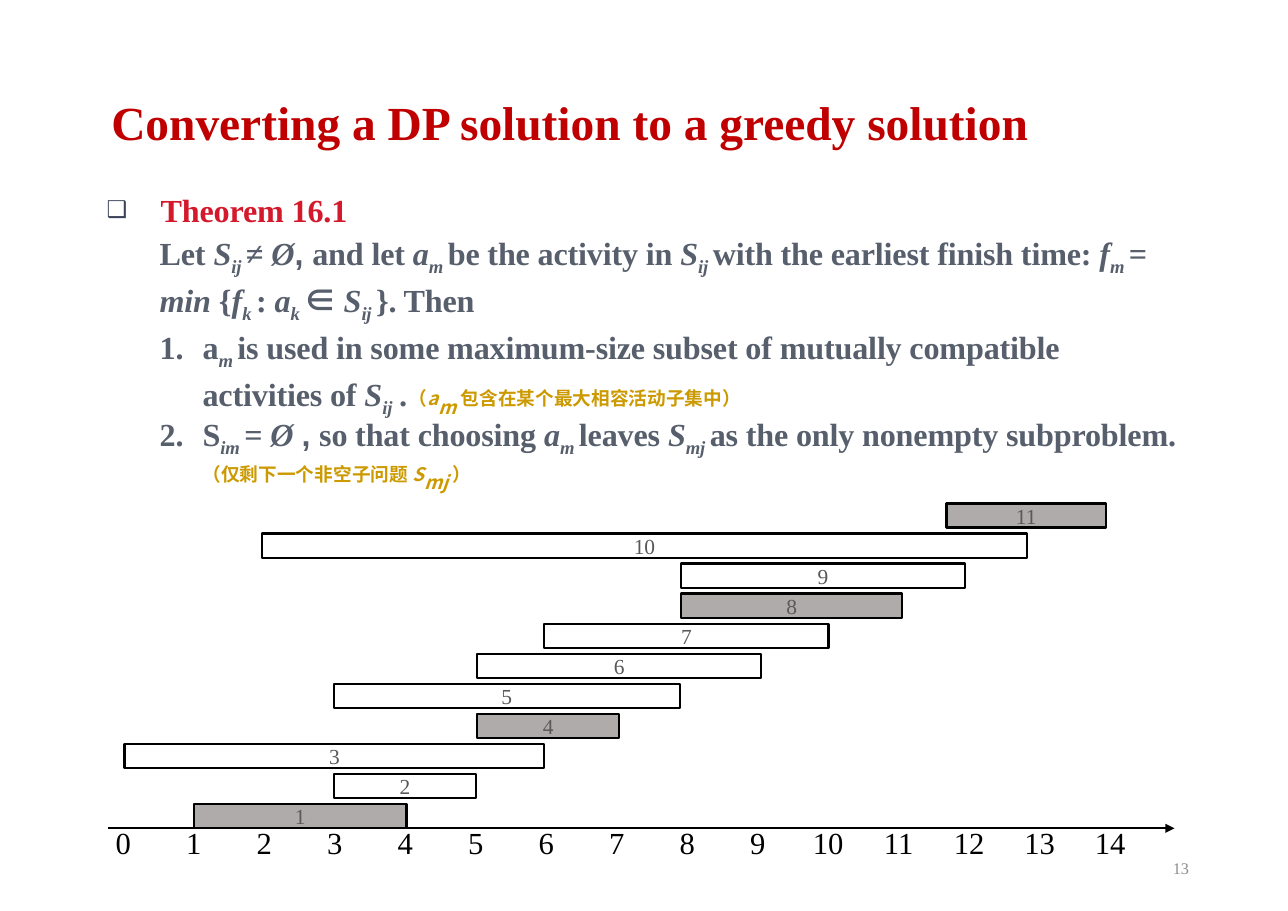
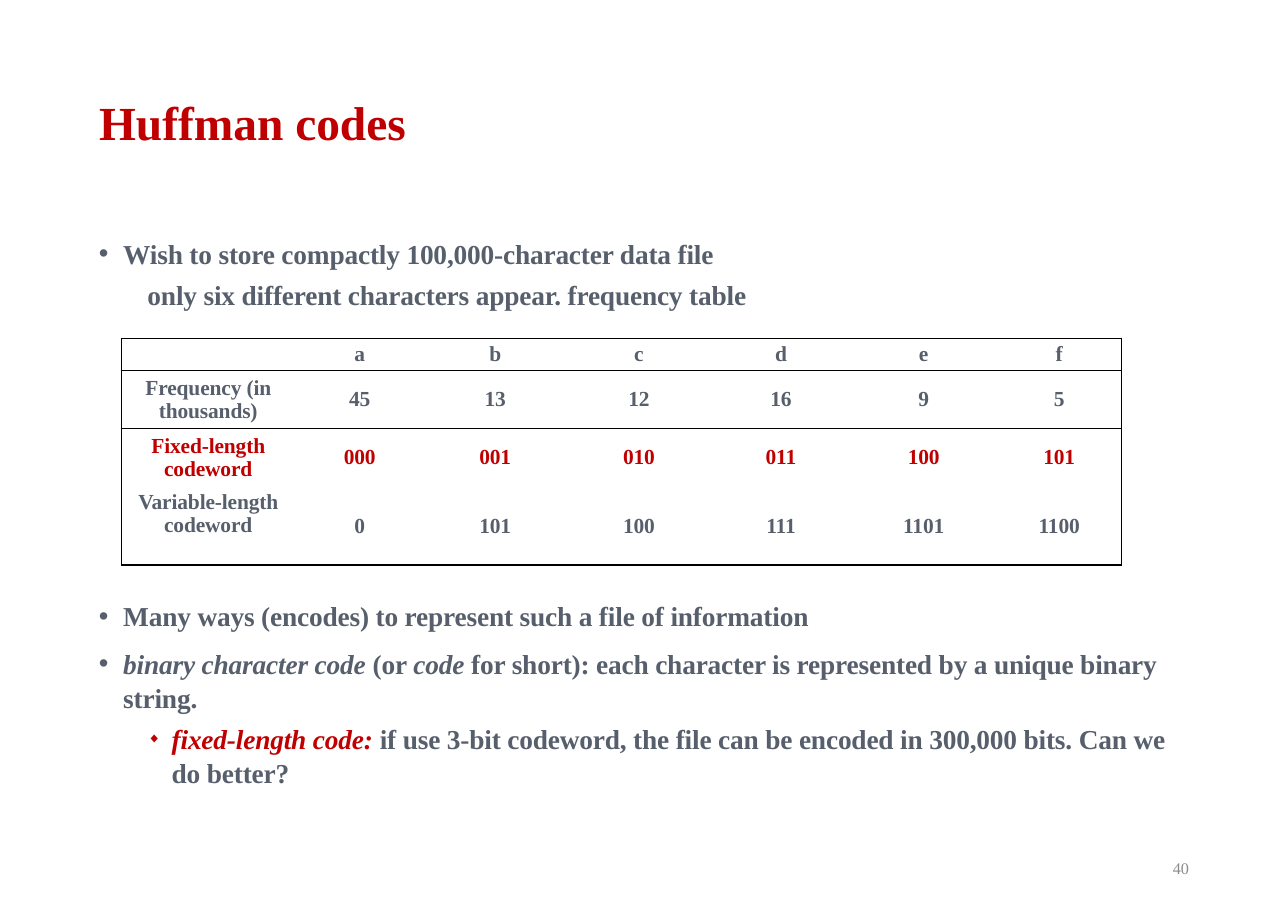
"""Build two lecture slides on greedy algorithms."""
from dataclasses import dataclass, replace

from lxml import etree
from pptx import Presentation
from pptx import util as u
from pptx.dml.color import RGBColor
from pptx.enum import shapes as es, text as et
from pptx.oxml import ns

BLACK = RGBColor(0x00, 0x00, 0x00)
RED = RGBColor(0xC0, 0x00, 0x00)
CRIMSON = RGBColor(0xD3, 0x19, 0x2B)
SLATE = RGBColor(0x57, 0x5F, 0x6D)
NAVY = RGBColor(0x3B, 0x43, 0x5B)
GOLD = RGBColor(0xCC, 0x9A, 0x00)
DARK_GRAY = RGBColor(0x59, 0x59, 0x59)
PAGE_GRAY = RGBColor(0x8C, 0x8C, 0x8C)
BAR_GRAY = RGBColor(0xAF, 0xAB, 0xAB)
SERIF, SANS, CJK = "Times New Roman", "Arial", "Noto Sans CJK JP"
NO_TABLE_STYLE = "{2D5ABB26-0587-4C30-8999-92F81FD0307C}"


@dataclass(frozen=True)
class Style:
    """Look of one run; spacing and baseline are in hundredths of a point and thousandths of a percent."""
    size: float
    color: RGBColor = SLATE
    font: str = SERIF
    bold: bool = True
    italic: bool = False
    spacing: int = -10
    baseline: int = 0


@dataclass(frozen=True)
class Item:
    """One body paragraph with its indents, spacing and bullet."""
    runs: list
    left: float = 0
    hanging: float = 0
    before: float = 0
    line: object = 1.0
    level: int = 0
    bullet: str = ""
    bullet_color: RGBColor = SLATE
    bullet_percent: int = 100


TITLE = Style(31, RED, spacing=0)
PAGE = Style(10.6, PAGE_GRAY, bold=False, spacing=0)
BAR = Style(14, DARK_GRAY, bold=False, spacing=0)
AXIS = Style(20, BLACK, bold=False, spacing=0)
THEOREM = Style(21)
CHINESE = replace(THEOREM, font=CJK, color=GOLD, spacing=10, baseline=2000)
BULLET = Style(17.9)
CELL = Style(14)

BARS = [(1.76, 1.93), (3.03, 1.29), (1.13, 3.81), (4.33, 1.29), (3.03, 3.14), (4.33, 2.58),
        (4.94, 2.58), (6.18, 2.01), (6.18, 2.58), (2.38, 6.94), (8.59, 1.45)]
CHOSEN = {1, 4, 8, 11}
CODE_ROWS = [
    ["", "a", "b", "c", "d", "e", "f"],
    ["Frequency (in thousands)", "45", "13", "12", "16", "9", "5"],
    ["Fixed-length codeword", "000", "001", "010", "011", "100", "101"],
    ["Variable-length codeword", "0", "101", "100", "111", "1101", "1100"],
]


def italic(style):
    """Return the italic form of a style."""
    return replace(style, italic=True)


def variable(letter, index, style=THEOREM):
    """Return the runs of an italic variable with a subscript."""
    slanted = italic(style)
    return [(letter, slanted), (index, replace(slanted, baseline=-25000))]


def add_child(parent, tag, **attributes):
    """Append a DrawingML element to a parent."""
    child = etree.SubElement(parent, ns.qn(tag))
    for name, value in attributes.items():
        child.set(name, str(value))
    return child


def write_runs(paragraph, runs):
    """Add styled runs to a paragraph."""
    for words, style in runs:
        run = paragraph.add_run()
        run.text = words
        font = run.font
        font.size, font.name = u.Pt(style.size), style.font
        font.bold, font.italic = style.bold, style.italic
        font.color.rgb = style.color
        properties = run._r.get_or_add_rPr()
        add_child(properties, "a:ea", typeface=style.font)
        if style.spacing:
            properties.set("spc", str(style.spacing))
        if style.baseline:
            properties.set("baseline", str(style.baseline))


def write_item(paragraph, item):
    """Format a body paragraph and fill it."""
    paragraph.level = item.level
    paragraph.line_spacing = item.line
    paragraph.space_before = u.Pt(item.before)
    properties = paragraph._p.get_or_add_pPr()
    properties.set("marL", str(u.Inches(item.left)))
    properties.set("indent", str(u.Inches(-item.hanging)))
    if item.bullet:
        color = add_child(properties, "a:buClr")
        add_child(color, "a:srgbClr", val=item.bullet_color)
        add_child(properties, "a:buSzPct", val=item.bullet_percent * 1000)
        if item.bullet == "1.":
            add_child(properties, "a:buAutoNum", type="arabicPeriod")
        else:
            add_child(properties, "a:buFont", typeface=SANS)
            add_child(properties, "a:buChar", char=item.bullet)
    write_runs(paragraph, item.runs)


def add_text_box(slide, left, top, width, height):
    """Add a wrapping text box and return its text frame."""
    box = slide.shapes.add_textbox(*map(u.Inches, (left, top, width, height)))
    box.text_frame.word_wrap = True
    return box.text_frame


def add_body(slide, top, height, items):
    """Add a body text box of several paragraphs."""
    frame = add_text_box(slide, 0.8, top, 10.02, height)
    for number, item in enumerate(items):
        write_item(frame.add_paragraph() if number else frame.paragraphs[0], item)


def add_slide(presentation, title, page, indent=0.1):
    """Add a slide with its title and page number."""
    slide = presentation.slides.add_slide(presentation.slide_layouts[5])
    holder = slide.shapes.title
    holder.left, holder.top = u.Inches(0.8), u.Inches(0.49)
    holder.width, holder.height = u.Inches(10.02), u.Inches(1.3)
    frame = holder.text_frame
    frame.auto_size = et.MSO_AUTO_SIZE.NONE
    frame.vertical_anchor = et.MSO_ANCHOR.MIDDLE
    frame.margin_left = u.Inches(indent)
    paragraph = frame.paragraphs[0]
    paragraph.alignment, paragraph.line_spacing = et.PP_ALIGN.LEFT, 0.9
    write_runs(paragraph, [(title, TITLE)])
    footer = add_text_box(slide, 8.26, 7.66, 2.63, 0.44)
    footer.vertical_anchor = et.MSO_ANCHOR.MIDDLE
    footer.paragraphs[0].alignment = et.PP_ALIGN.RIGHT
    write_runs(footer.paragraphs[0], [(page, PAGE)])
    return slide


def add_table(slide, left, top, widths, heights):
    """Add a plain table with the given column widths and row heights."""
    frame = slide.shapes.add_table(len(heights), len(widths), u.Inches(left), u.Inches(top),
                                   u.Inches(sum(widths)), u.Inches(sum(heights)))
    table = frame.table
    table.first_row = table.horz_banding = False
    table._tbl.tblPr.find(ns.qn("a:tableStyleId")).text = NO_TABLE_STYLE
    for column, width in zip(table.columns, widths):
        column.width = u.Inches(width)
    for row, height in zip(table.rows, heights):
        row.height = u.Inches(height)
    return table


def write_cell(cell, words, style, sides=()):
    """Fill a centred cell and draw black borders on the named sides."""
    cell.vertical_anchor = et.MSO_ANCHOR.MIDDLE
    paragraph = cell.text_frame.paragraphs[0]
    paragraph.alignment = et.PP_ALIGN.CENTER
    if words:
        write_runs(paragraph, [(words, style)])
    else:
        paragraph._p.get_or_add_endParaRPr().set("sz", str(style.size * 100))
    for side in sides:
        border = add_child(cell._tc.get_or_add_tcPr(), f"a:ln{side}", w=u.Pt(1))
        add_child(add_child(border, "a:solidFill"), "a:srgbClr", val=BLACK)
    cell.fill.background()


def add_code_table(slide):
    """Add the framed table of frequencies and codewords."""
    widths = [1.58, 1.17, 1.29, 1.32, 1.26, 1.33, 1.13]
    table = add_table(slide, 1.1, 3.07, widths, [0.29, 0.5, 0.5, 0.71])
    last_row, last_column = len(CODE_ROWS) - 1, len(widths) - 1
    for r, row in enumerate(CODE_ROWS):
        style = replace(CELL, color=RED) if r == 2 else CELL
        for c, words in enumerate(row):
            edges = {"L": c == 0, "R": c == last_column, "T": r < 2, "B": r in (0, last_row)}
            cell = table.cell(r, c)
            cell.margin_left = cell.margin_right = u.Inches(0.07)
            cell.margin_top = cell.margin_bottom = u.Inches(0.03)
            write_cell(cell, words, style, [side for side, drawn in edges.items() if drawn])
    table.cell(last_row, 0).vertical_anchor = et.MSO_ANCHOR.TOP


def add_time_axis(slide, shapes):
    """Add the hour labels and the arrow above them."""
    labels = add_table(slide, 0.8, 7.45, [0.64] * 15, [0.39])
    for hour in range(15):
        write_cell(labels.cell(0, hour), str(hour), AXIS)
    arrow = shapes.add_connector(es.MSO_CONNECTOR.STRAIGHT, *map(u.Inches, (0.98, 7.52, 10.66, 7.52)))
    arrow.line.color.rgb, arrow.line.width = BLACK, u.Pt(1.5)
    add_child(arrow.line._get_or_add_ln(), "a:tailEnd", type="triangle")
    add_child(arrow._element.spPr, "a:effectLst")


def add_activity(shapes, number, left, width):
    """Add one numbered activity bar, gray when it is chosen."""
    top = 7.3 - 0.273 * (number - 1)
    bar = shapes.add_shape(es.MSO_SHAPE.RECTANGLE, *map(u.Inches, (left, top, width, 0.22)))
    bar.shadow.inherit = False
    bar.line.color.rgb, bar.line.width = BLACK, u.Pt(1.5)
    if number in CHOSEN:
        bar.fill.solid()
        bar.fill.fore_color.rgb = BAR_GRAY
    else:
        bar.fill.background()
    frame = bar.text_frame
    frame.margin_top = frame.margin_bottom = 0
    frame.vertical_anchor = et.MSO_ANCHOR.MIDDLE
    frame.paragraphs[0].alignment = et.PP_ALIGN.CENTER
    write_runs(frame.paragraphs[0], [(str(number), BAR)])


def build_greedy_slide(presentation):
    """Build the slide with the theorem and the activity chart."""
    slide = add_slide(presentation, "Converting a DP solution to a greedy solution", "13", 0.21)
    plain, slanted, comma = THEOREM, italic(THEOREM), replace(THEOREM, font=SANS)
    heading = [("Theorem 16.1", replace(THEOREM, color=CRIMSON))]
    premise = [("Let ", plain), *variable("S", "ij "), ("≠ ", plain), ("Ø", slanted), (", ", comma),
               ("and let ", plain), *variable("a", "m "), ("be the activity in ", plain),
               *variable("S", "ij "), ("with the earliest finish time: ", plain),
               *variable("f", "m "), ("= ", plain), ("min", slanted), (" {", plain),
               *variable("f", "k "), (": ", plain), *variable("a", "k "),
               ("∈ ", replace(plain, font=CJK)), *variable("S", "ij "), ("}. Then", plain)]
    first = [("a", plain), variable("a", "m ")[1],
             ("is used in some maximum-size subset of mutually compatible activities of ", plain),
             *variable("S", "ij"), (" .", slanted), ("（", CHINESE), *variable("a", "m ", CHINESE),
             ("包含在某个最大相容活动子集中）", CHINESE)]
    second = [("S", plain), variable("S", "im ")[1], ("= ", plain), ("Ø ", slanted), (", ", comma),
              ("so that choosing ", plain), *variable("a", "m "), ("leaves ", plain),
              *variable("S", "mj "), ("as the only nonempty subproblem. ", plain),
              ("（仅剩下一个非空子问题 ", CHINESE), *variable("S", "mj ", CHINESE), ("）", CHINESE)]
    add_body(slide, 1.68, 5.27, [
        Item(heading, 0.56, 0.49, bullet="❑", bullet_color=NAVY, bullet_percent=72),
        Item(premise, 0.55, before=0.1, line=1.09),
        Item(first, 0.94, 0.39, 0.1, 1.06, 1, "1."),
        Item(second, 0.94, 0.39, 3.2, u.Pt(23.2), 1, "1."),
    ])
    chart = slide.shapes.add_group_shape().shapes
    add_time_axis(slide, chart)
    for number, (left, width) in enumerate(BARS, 1):
        add_activity(chart, number, left, width)


def build_huffman_slide(presentation):
    """Build the slide on Huffman codes."""
    slide = add_slide(presentation, "Huffman codes", "40")
    slanted = italic(BULLET)
    top_level = Item([], 0.22, 0.22, 8.8, 1.04, bullet="•")
    add_body(slide, 2.09, 0.8, [
        replace(top_level, before=0, runs=[("Wish to store compactly 100,000-character data file", BULLET)]),
        Item([("only six different characters appear. frequency table", BULLET)], 0.44, 0, 4.4, 1.04, 1),
    ])
    add_code_table(slide)
    definition = [("binary character code ", slanted), ("(or ", BULLET), ("code", slanted),
                  (" for short): each character is represented by a unique binary string.", BULLET)]
    fixed = [("fixed-length code: ", replace(slanted, color=RED)),
             ("if use 3-bit codeword, the file can be encoded in 300,000 bits. Can we do better?", BULLET)]
    add_body(slide, 5.38, 1.9, [
        replace(top_level, before=0,
                runs=[("Many ways (encodes) to represent such a file of information", BULLET)]),
        replace(top_level, runs=definition),
        Item(fixed, 0.66, 0.22, 4.4, 1.04, 1, "◆", RED, 50),
    ])


def main():
    """Build and save the presentation."""
    presentation = Presentation()
    presentation.slide_width, presentation.slide_height = u.Inches(11.69), u.Inches(8.27)
    build_greedy_slide(presentation)
    build_huffman_slide(presentation)
    presentation.save("out.pptx")


if __name__ == "__main__":
    main()
